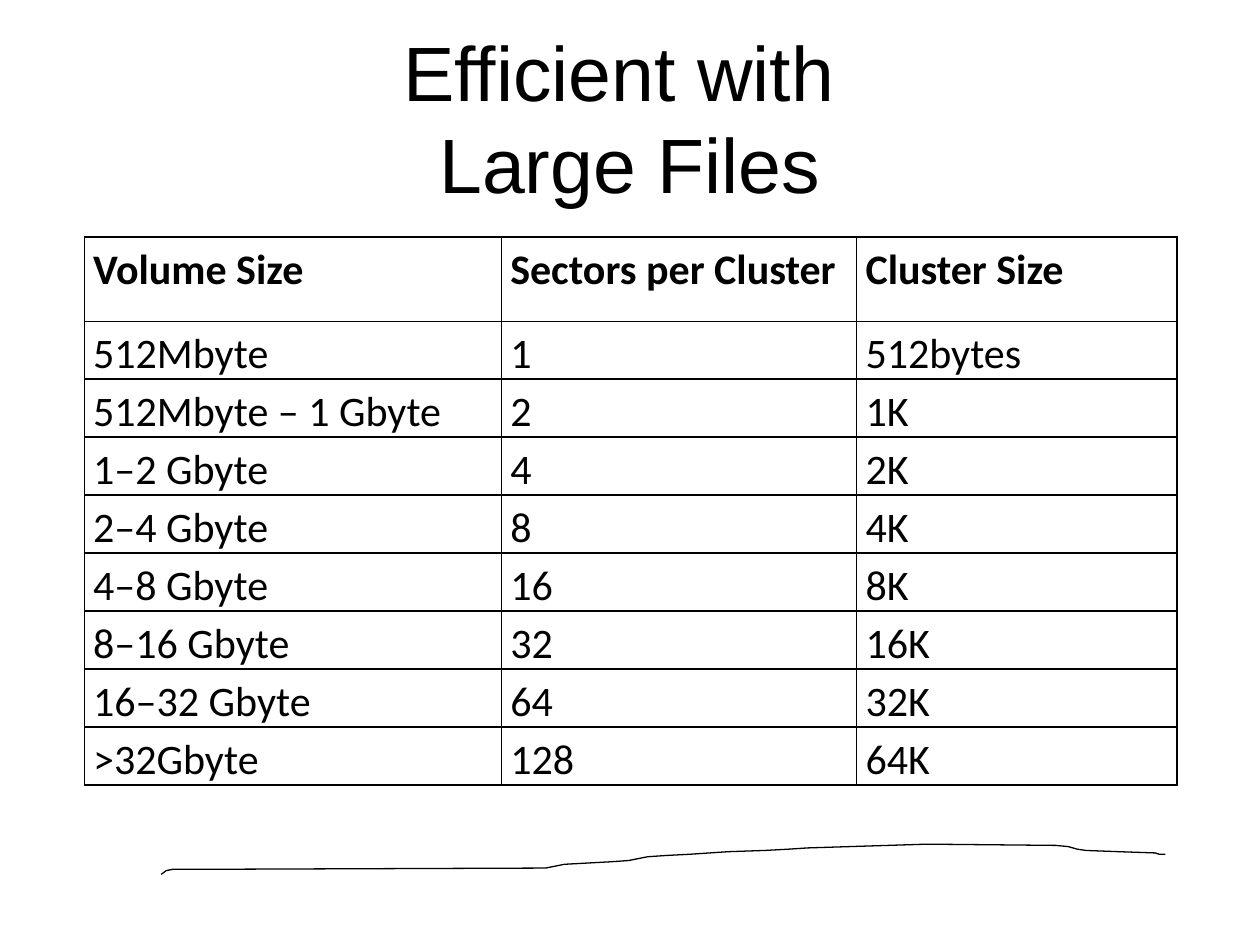
from lxml import etree
from pptx import Presentation
from pptx.dml.color import RGBColor
from pptx.enum.text import MSO_ANCHOR, PP_ALIGN
from pptx.oxml.ns import qn
from pptx.util import Inches, Pt

BLACK = RGBColor(0, 0, 0)
MIDDLE = MSO_ANCHOR.MIDDLE
CENTER = PP_ALIGN.CENTER
COLUMN_WIDTHS = (3.31, 2.82, 2.54)
HEADER_HEIGHT, ROW_HEIGHT = 0.67, 0.33
CLUSTER_ROWS = (
    ("Volume Size", "Sectors per Cluster", "Cluster Size"),
    ("512Mbyte", "1", "512bytes"),
    ("512Mbyte – 1 Gbyte", "2", "1K"),
    ("1–2 Gbyte", "4", "2K"),
    ("2–4 Gbyte", "8", "4K"),
    ("4–8 Gbyte", "16", "8K"),
    ("8–16 Gbyte", "32", "16K"),
    ("16–32 Gbyte", "64", "32K"),
    (">32Gbyte", "128", "64K"),
)
STROKE_POINTS = (
    (0, 0.24), (0.04, 0.21), (0.09, 0.2), (0.21, 0.2), (3.05, 0.19),
    (3.2, 0.16), (3.57, 0.14), (3.71, 0.13), (3.86, 0.1), (4.01, 0.09),
    (4.2, 0.08), (4.5, 0.06), (4.79, 0.05), (4.98, 0.04), (5.13, 0.03),
    (6.08, 0), (7.1, 0.01), (7.2, 0.02), (7.27, 0.04), (7.34, 0.05),
    (7.6, 0.06), (7.89, 0.07), (7.92, 0.08), (7.97, 0.08),
)


def set_font(p, name, size, bold=False):
    """Give a paragraph its font."""
    p.font.name, p.font.size, p.font.bold = name, Pt(size), bold
    p.font.color.rgb = BLACK


def add_stroke(slide, left, top):
    """Draw the open hand-drawn line from its top-left corner."""
    points = [(round(x * 100), round(y * 100)) for x, y in STROKE_POINTS]
    builder = slide.shapes.build_freeform(*points[0], scale=Inches(0.01))
    builder.add_line_segments(points[1:], close=False)
    sp = builder.convert_to_shape(Inches(left), Inches(top))
    sp.shadow.inherit = False
    sp.fill.background()
    sp.line.color.rgb = BLACK
    sp.line.width = Pt(0.75)


def add_title(slide, left, top, width, height):
    """Place the centred two-line title in its box."""
    box = map(Inches, (left, top, width, height))
    tf = slide.shapes.add_textbox(*box).text_frame
    tf.word_wrap = True
    tf.vertical_anchor = MIDDLE
    p = tf.paragraphs[0]
    p.text = "Efficient with \vLarge Files"
    p.alignment = CENTER
    set_font(p, "Arial", 44)


def add_borders(cell):
    """Rule all four sides of a cell."""
    tc_pr = cell._tc.get_or_add_tcPr()
    for i, side in enumerate("LRTB"):
        ln = etree.Element(qn(f"a:ln{side}"), w=str(Pt(1)))
        fill = etree.SubElement(ln, qn("a:solidFill"))
        etree.SubElement(fill, qn("a:srgbClr"), val=str(BLACK))
        tc_pr.insert(i, ln)


def fill_cell(cell, text, bold):
    """Write and style one table cell."""
    cell.fill.background()
    cell.margin_left = cell.margin_right = Inches(0.07)
    cell.margin_top = cell.margin_bottom = 0
    p = cell.text_frame.paragraphs[0]
    p.text = text
    p.line_spacing = 1.15
    set_font(p, "Calibri", 24, bold)
    add_borders(cell)


def add_cluster_table(slide, left, top, width, height):
    """Place the ruled table of cluster sizes in its box."""
    box = [Inches(v) for v in (left, top, width, height)]
    frame = slide.shapes.add_table(len(CLUSTER_ROWS), len(COLUMN_WIDTHS), *box)
    table = frame.table
    table.first_row = table.horz_banding = False
    for column, share in zip(table.columns, COLUMN_WIDTHS):
        column.width = Inches(width * share / sum(COLUMN_WIDTHS))
    for i, (row, texts) in enumerate(zip(table.rows, CLUSTER_ROWS)):
        row.height = Inches(ROW_HEIGHT if i else HEADER_HEIGHT)
        for cell, text in zip(row.cells, texts):
            fill_cell(cell, text, bold=i == 0)
    frame.height = box[3]


def main():
    """Build and save the slide."""
    prs = Presentation()
    prs.slide_width, prs.slide_height = Inches(10), Inches(7.5)
    slide = prs.slides.add_slide(prs.slide_layouts[6])
    add_stroke(slide, 1.28, 6.7)
    add_title(slide, 0.5, 0.3, 9, 1.25)
    add_cluster_table(slide, 0.67, 1.88, 8.67, 4.35)
    prs.save("out.pptx")


main()
